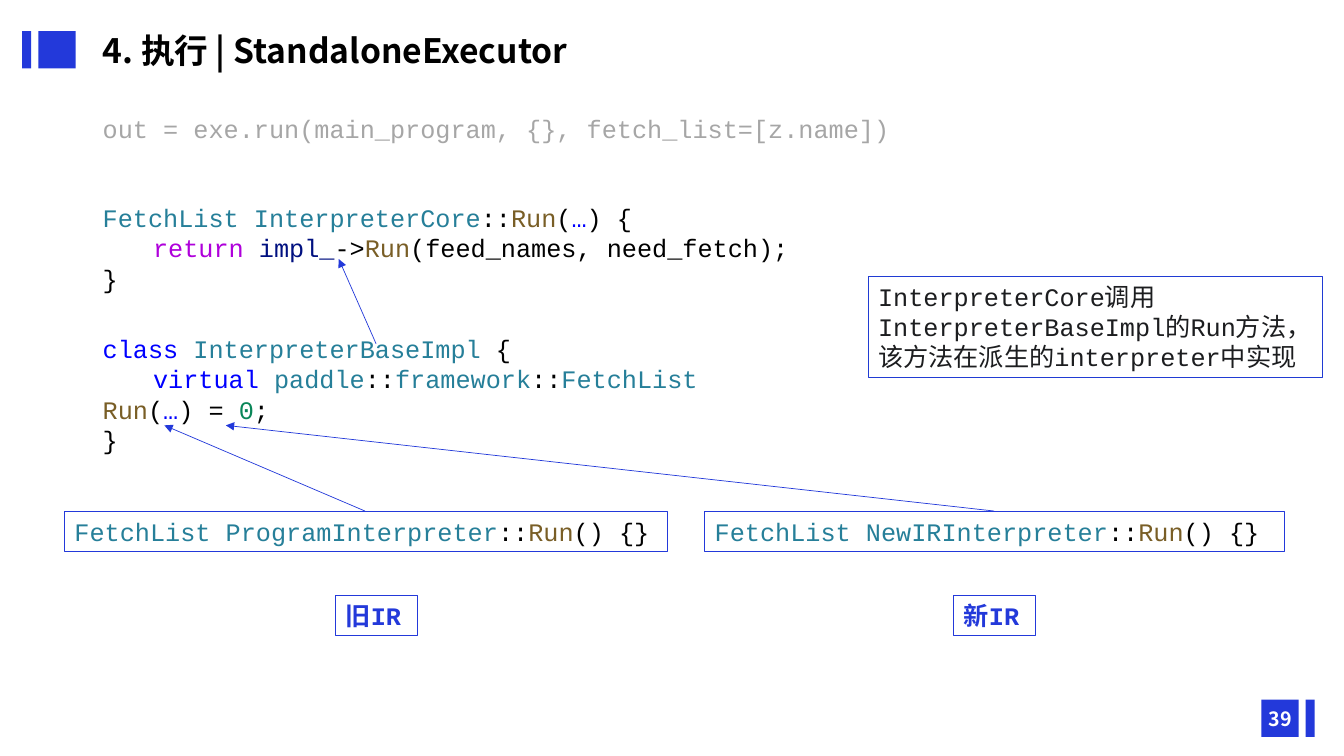
from lxml import etree
from pptx import Presentation
from pptx.dml.color import RGBColor
from pptx.enum.shapes import MSO_CONNECTOR, MSO_SHAPE
from pptx.enum.text import MSO_ANCHOR, PP_ALIGN
from pptx.oxml.ns import qn
from pptx.util import Inches, Pt

RECT = MSO_SHAPE.RECTANGLE
STRAIGHT = MSO_CONNECTOR.STRAIGHT
TOP, MIDDLE = MSO_ANCHOR.TOP, MSO_ANCHOR.MIDDLE
LEFT, CENTER = PP_ALIGN.LEFT, PP_ALIGN.CENTER

MONO, SANS = "Courier New", "Noto Sans CJK SC"
BLUE, BLACK, WHITE = "2339DA", "000000", "FFFFFF"
GRAY, INK = "A6A6A6", "1C1D1F"
KEYWORD, TYPE, FUNC = "0000FF", "267F99", "795E26"
CONTROL, FIELD, NUMBER = "AF00DB", "001080", "098658"

CORE_RUN = [
    [("FetchList InterpreterCore", TYPE), ("::", BLACK), ("Run", FUNC),
     ("(", BLACK), ("…", KEYWORD), (") {", BLACK)],
    [("\treturn ", CONTROL), ("impl_", FIELD), ("->", BLACK), ("Run", FUNC),
     ("(feed_names, need_fetch);", BLACK)],
    [("}", BLACK)],
]
BASE_IMPL = [
    [("class ", KEYWORD), ("InterpreterBaseImpl", TYPE), (" {", BLACK)],
    [("\tvirtual ", KEYWORD), ("paddle", TYPE), ("::", BLACK), ("framework", TYPE),
     ("::", BLACK), ("FetchList ", TYPE), ("Run", FUNC), ("(", BLACK),
     ("…", KEYWORD), (") = ", BLACK), ("0", NUMBER), (";", BLACK)],
    [("}", BLACK)],
]
CALLOUT = [[
    ("InterpreterCore调用InterpreterBaseImpl的Run", INK),
    ("方法，该方法在派生的", INK, SANS),
    ("interpreter", INK),
    ("中实现", INK, SANS),
]]
INTERPRETERS = [
    ("ProgramInterpreter", (0.64, 5.07, 5.98, 0.4), "旧IR", 3.33),
    ("NewIRInterpreter", (6.99, 5.07, 5.75, 0.4), "新IR", 9.46),
]
ARROWS = [
    ((3.62, 5.07), (1.63, 4.22)),
    ((3.73, 3.41), (3.36, 2.57)),
    ((9.86, 5.07), (2.24, 4.22)),
]
BARS = [(0.38, 0.31, 0.37), (0.22, 0.31, 0.09), (12.51, 6.94, 0.37), (12.95, 6.94, 0.09)]


def rgb(value):
    """Turn a hex string into a colour."""
    return RGBColor.from_string(value)


def inches(values):
    """Turn numbers into lengths."""
    return [Inches(v) for v in values]


def fill_text(sp, lines, size=18, bold=False, anchor=TOP, align=LEFT, spacing=1.0):
    """Write lines of (text, colour[, font]) runs into a shape."""
    tf = sp.text_frame
    tf.word_wrap = True
    tf.vertical_anchor = anchor
    for i, line in enumerate(lines):
        p = tf.paragraphs[0] if i == 0 else tf.add_paragraph()
        p.alignment = align
        p.line_spacing = spacing
        for text, color, *font in line:
            r = p.add_run()
            r.text = text
            name = font[0] if font else MONO
            for key, value in {"name": name, "size": Pt(size), "bold": bold}.items():
                setattr(r.font, key, value)
            r.font.color.rgb = rgb(color)
            ea = etree.SubElement(r.font._element, qn("a:ea"))
            ea.set("typeface", SANS)


def add_text(s, box, lines, **fmt):
    """Add a plain text box."""
    fill_text(s.shapes.add_textbox(*inches(box)), lines, **fmt)


def add_bar(s, left, top, width):
    """Add a solid blue bar."""
    sp = s.shapes.add_shape(RECT, *inches((left, top, width, 0.37)))
    sp.shadow.inherit = False
    sp.fill.solid()
    sp.fill.fore_color.rgb = rgb(BLUE)
    sp.line.fill.background()


def add_frame(s, box, lines, color=BLUE, **fmt):
    """Add an outlined box with text."""
    sp = s.shapes.add_shape(RECT, *inches(box))
    sp.shadow.inherit = False
    sp.fill.background()
    sp.line.color.rgb = rgb(color)
    sp.line.width = Pt(0.75)
    fill_text(sp, lines, **fmt)


def add_arrow(s, start, end):
    """Add a thin line with an arrowhead at its end."""
    line = s.shapes.add_connector(STRAIGHT, *inches(start + end))
    line.line.color.rgb = rgb(BLUE)
    line.line.width = Pt(0.5)
    etree.SubElement(line.line._get_or_add_ln(), qn("a:tailEnd")).set("type", "triangle")
    etree.SubElement(line._element.spPr, qn("a:effectLst"))


def main():
    """Build the slide and save it."""
    prs = Presentation()
    prs.slide_width, prs.slide_height = inches((13.33, 7.5))
    s = prs.slides.add_slide(prs.slide_layouts[6])

    for bar in BARS:
        add_bar(s, *bar)
    add_text(s, (12.43, 6.93, 0.54, 0.4), [[("39", WHITE, SANS)]],
             size=14, bold=True, anchor=MIDDLE, align=CENTER)
    add_text(s, (0.92, 0.38, 9.27, 0.29), [[("4. 执行 | StandaloneExecutor", BLACK, SANS)]],
             size=24, bold=True, anchor=MIDDLE, spacing=0.9)
    add_text(s, (0.92, 1.11, 11.5, 0.4),
             [[("out = exe.run(main_program, {}, fetch_list=[z.name])", GRAY)]], spacing=0.9)
    add_text(s, (0.92, 1.96, 11.5, 1.01), CORE_RUN)
    add_text(s, (0.92, 3.26, 7.04, 1.31), BASE_IMPL)
    add_frame(s, (8.61, 2.74, 4.51, 1.01), CALLOUT, color="203BD3")

    for name, box, label, label_left in INTERPRETERS:
        add_frame(s, box, [[("FetchList " + name, TYPE), ("::", BLACK),
                            ("Run", FUNC), ("() {}", BLACK)]])
        add_frame(s, (label_left, 5.91, 0.81, 0.4), [[(label, BLUE)]], bold=True)
    for start, end in ARROWS:
        add_arrow(s, start, end)

    prs.save("out.pptx")


if __name__ == "__main__":
    main()
